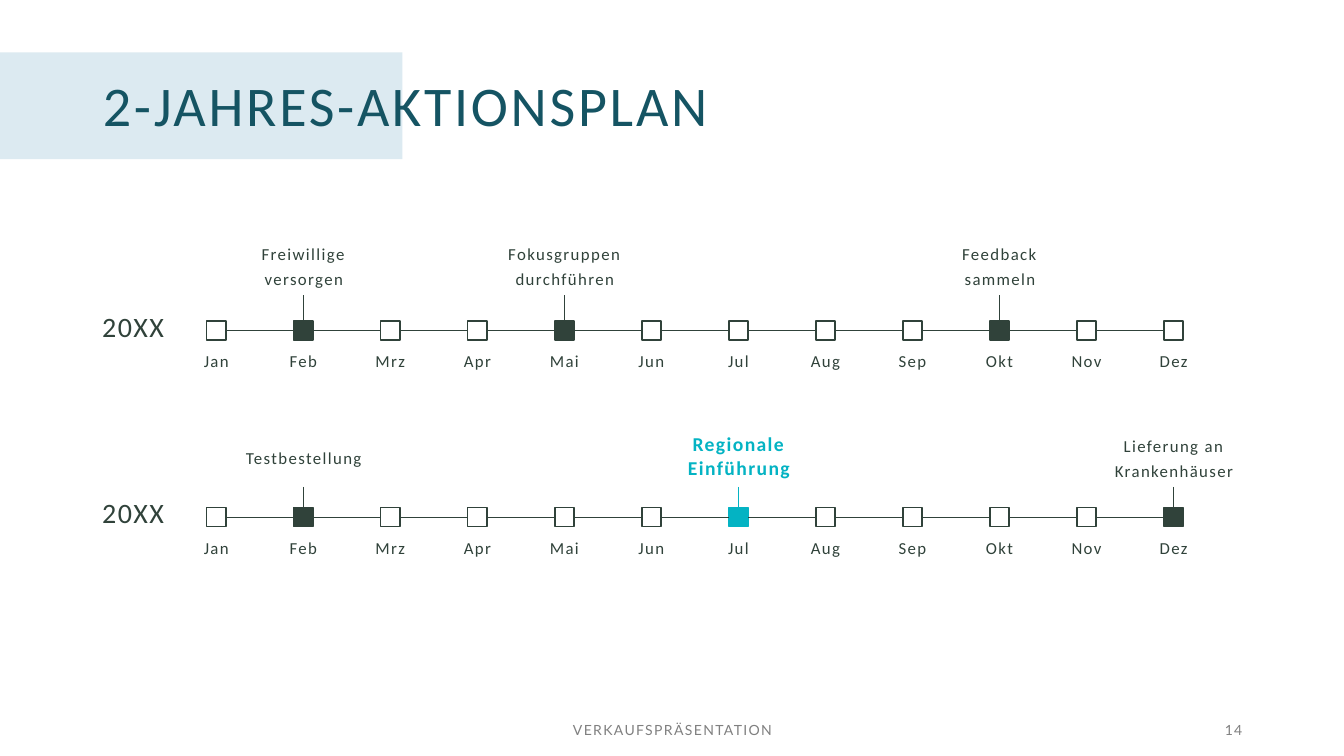
from lxml.etree import SubElement
from pptx import Presentation
from pptx.dml.color import RGBColor
from pptx.enum.shapes import MSO_CONNECTOR, MSO_SHAPE
from pptx.enum.text import MSO_ANCHOR, PP_ALIGN
from pptx.oxml.ns import qn
from pptx.util import Emu, Pt

SCALE = 9144  # 100 px to the inch
DARK, TEAL, CYAN, PALE, GREY = "30423A", "155463", "04B3C3", "DCEAF1", "808080"
MONTHS = "Jan Feb Mrz Apr Mai Jun Jul Aug Sep Okt Nov Dez".split()
SIDE = 19

BASE = dict(size=Pt(12), name="Calibri", bold=False)
YEAR = dict(BASE, size=Pt(20))
HEAD = dict(BASE, size=Pt(40))
LAUNCH = dict(BASE, size=Pt(14), bold=True)
FOOT = dict(BASE, size=Pt(10), name="Lato")

# Month index: (label, colour)
FIRST = {1: ("Freiwillige versorgen", DARK),
         4: ("Fokusgruppen durchführen", DARK),
         9: ("Feedback sammeln", DARK)}
SECOND = {1: ("Testbestellung", DARK),
          6: ("Regionale Einführung", CYAN),
          11: ("Lieferung an Krankenhäuser", DARK)}


def px(*nums):
    return [Emu(round(n * SCALE)) for n in nums]


def tint(hue):
    return RGBColor.from_string(hue)


def write(shape, text, style, hue=DARK, align=PP_ALIGN.CENTER,
          anchor=MSO_ANCHOR.MIDDLE, lead=1.0, track=1):
    """Fill a shape with one formatted run and return the run properties."""
    frame = shape.text_frame
    frame.word_wrap = True
    frame.vertical_anchor = anchor
    para = frame.paragraphs[0]
    para.alignment = align
    para.line_spacing = lead
    run = para.add_run()
    run.text = text
    for key, value in style.items():
        setattr(run.font, key, value)
    run.font.color.rgb = tint(hue)
    props = run._r.get_or_add_rPr()
    props.set("spc", str(track * 100))
    return props


def label(slide, box, text, style, **opts):
    write(slide.shapes.add_textbox(*px(*box)), text, style, **opts)


def block(slide, box, fill=None, line=None):
    shape = slide.shapes.add_shape(MSO_SHAPE.RECTANGLE, *px(*box))
    shape.shadow.inherit = False
    if fill:
        shape.fill.solid()
        shape.fill.fore_color.rgb = tint(fill)
    else:
        shape.fill.background()
    if line:
        shape.line.color.rgb = tint(line)
        shape.line.width = Pt(1)
    else:
        shape.line.fill.background()
    return shape


def link(slide, start, end, hue=DARK):
    line = slide.shapes.add_connector(MSO_CONNECTOR.STRAIGHT, *px(*start, *end))
    line.line.color.rgb = tint(hue)
    line.line.width = Pt(0.5)
    SubElement(line.element.spPr, qn("a:effectLst"))
    return line


def header(slide, box, text):
    left, top, width, height = box
    title = slide.shapes.title
    title.left, title.top, title.width, title.height = px(*box)
    band = block(slide, (0, top - 21, 399, 106), PALE)
    title.element.addprevious(band.element)
    props = write(title, text, HEAD, hue=TEAL, align=PP_ALIGN.LEFT,
                  lead=0.8, track=2)
    edge = SubElement(props, qn("a:ln"))
    edge.set("w", str(Pt(1.5)))
    fill = SubElement(edge, qn("a:solidFill"))
    SubElement(fill, qn("a:srgbClr")).set("val", TEAL)
    props.insert(0, edge)


def timeline(slide, box, year, events):
    """Draw a year whose axis runs along the bottom edge of the box."""
    left, top, width, height = box
    axis = top + height
    label(slide, (left, axis - 30, 112, 55), year, YEAR, lead=0.9)
    start = left + 138.5
    step = (left + width - start) / (len(MONTHS) - 1)
    last = None
    for i, month in enumerate(MONTHS):
        mid = start + i * step
        text, hue = events.get(i, (None, DARK))
        mark = block(slide, (mid - SIDE / 2, axis - SIDE / 2, SIDE, SIDE),
                     hue if text else None, hue)
        if last:
            line = link(slide, (mid - step, axis), (mid, axis))
            line.begin_connect(last, 3)
            line.end_connect(mark, 1)
        last = mark
        label(slide, (mid - 27, axis + 19, 54, 71), month, BASE,
              anchor=MSO_ANCHOR.TOP, lead=0.8)
        if text:
            bold = hue == CYAN
            label(slide, (mid - 78, top, 157, 60), text,
                  LAUNCH if bold else BASE, hue=hue,
                  lead=1.0 if bold else 1.25)
            stem = link(slide, (mid, top + 61), (mid, axis), hue)
            stem.end_connect(mark, 0)


def footer(slide, box, text, page):
    left, top, width, height = box
    label(slide, (left, top, 450, height), text, FOOT, hue=GREY)
    label(slide, (left + width - 300, top, 300, height), page, FOOT,
          hue=GREY, align=PP_ALIGN.RIGHT)


def main():
    deck = Presentation()
    deck.slide_width, deck.slide_height = px(1333, 750)
    slide = deck.slides.add_slide(deck.slide_layouts[5])
    header(slide, (92, 73, 1150, 72), "2-JAHRES-AKTIONSPLAN")
    timeline(slide, (76, 232, 1088, 96), "20XX", FIRST)
    timeline(slide, (76, 422, 1088, 91), "20XX", SECOND)
    footer(slide, (442, 713, 800, 22), "VERKAUFSPRÄSENTATION", "14")
    deck.save("out.pptx")


if __name__ == "__main__":
    main()
